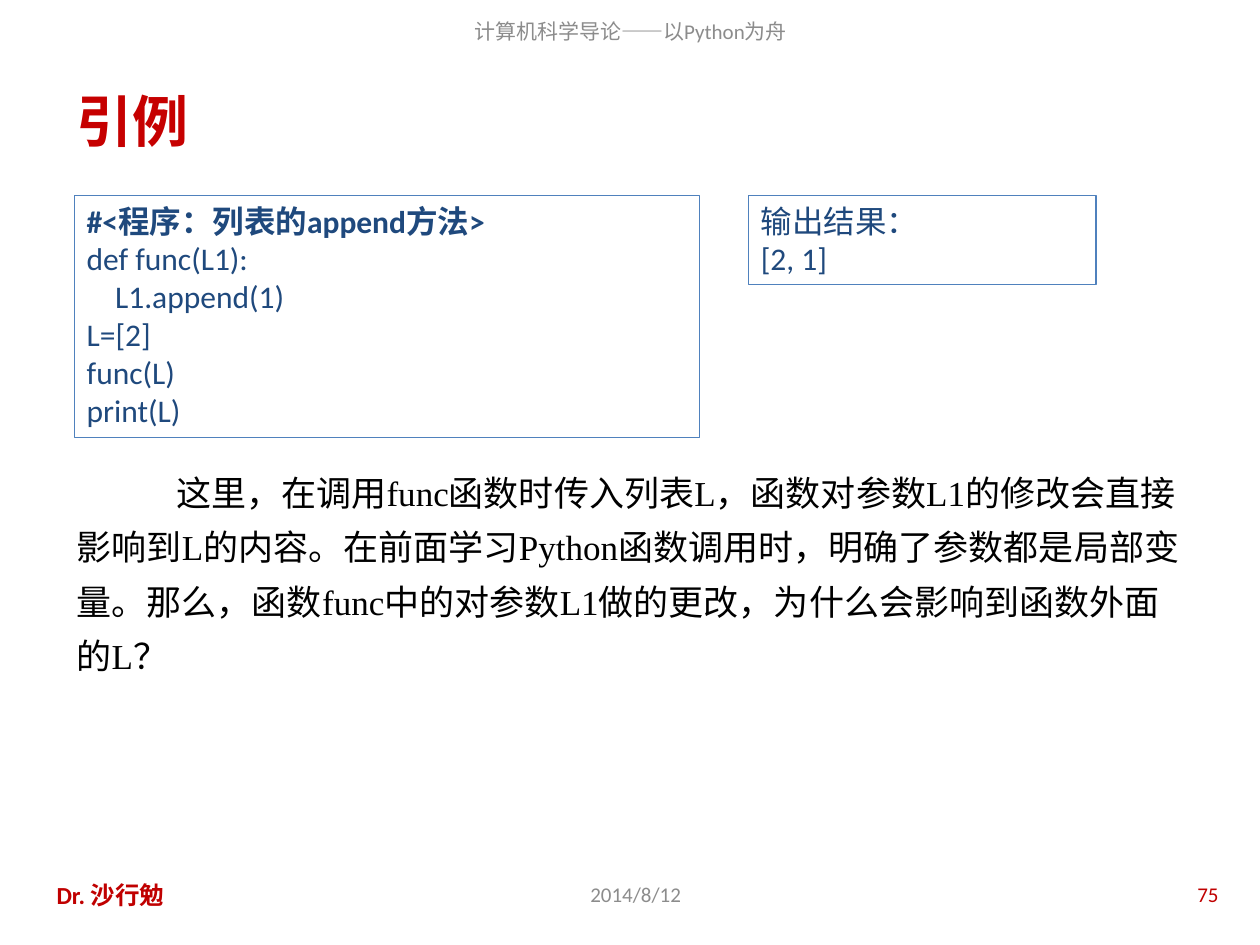
"""Build a lecture slide on the list append method in a function."""
from pptx import Presentation
from pptx.dml.color import RGBColor
from pptx.enum.shapes import MSO_SHAPE
from pptx.enum.text import MSO_ANCHOR, PP_ALIGN
from pptx.util import Inches, Pt

RECT = MSO_SHAPE.RECTANGLE
TOP, MIDDLE = MSO_ANCHOR.TOP, MSO_ANCHOR.MIDDLE
LEFT, CENTER, RIGHT = PP_ALIGN.LEFT, PP_ALIGN.CENTER, PP_ALIGN.RIGHT


def color(code):
    return RGBColor.from_string(code)


def write(shape, lines, size, code, bold=False, align=LEFT, anchor=MIDDLE, face="Calibri"):
    frame = shape.text_frame
    frame.word_wrap = True
    frame.vertical_anchor = anchor
    frame.text = "\n".join(lines)
    for para in frame.paragraphs:
        para.alignment = align
        para.font.name = face
        para.font.size = Pt(size)
        para.font.bold = bold
        para.font.color.rgb = color(code)
    return frame.paragraphs[0]


deck = Presentation()
deck.slide_width = Inches(10)
deck.slide_height = Inches(7.5)
slide = deck.slides.add_slide(deck.slide_layouts[6])

labels = [
    ("计算机科学导论——以Python为舟", 1.54, 0.05, 6.93, 0.39, 12, "8C8C8C", False, CENTER),
    ("引例", 0.51, 0.6, 9, 0.7, 32, "C60000", True, LEFT),
    ("2014/8/12", 3.35, 6.9, 3.39, 0.4, 12, "8C8C8C", False, CENTER),
    ("Dr. 沙行勉", 0.35, 6.9, 2.21, 0.4, 14, "C00000", True, LEFT),
    ("75", 7.44, 6.9, 2.33, 0.4, 12, "C00000", False, RIGHT),
]
for text, left, top, width, height, size, code, bold, align in labels:
    box = slide.shapes.add_textbox(Inches(left), Inches(top), Inches(width), Inches(height))
    write(box, [text], size, code, bold, align)

body = slide.shapes.add_textbox(Inches(0.51), Inches(3.59), Inches(9), Inches(2.83))
story = (
    "这里，在调用func函数时传入列表L，函数对参数L1的修改会直接影响到L的内容。"
    "在前面学习Python函数调用时，明确了参数都是局部变量。"
    "那么，函数func中的对参数L1做的更改，为什么会影响到函数外面的L？"
)
para = write(body, [story], 20, "000000", anchor=TOP, face="Times New Roman")
para.line_spacing = 1.3
para._p.get_or_add_pPr().set("indent", str(Inches(0.79)))

program = [
    "#<程序：列表的append方法>",
    "def func(L1):",
    "    L1.append(1)",
    "L=[2]",
    "func(L)",
    "print(L)",
]
result = ["输出结果：", "[2, 1]"]
panels = [(program, 0.59, 4.96, 1.92, True), (result, 5.94, 2.76, 0.71, False)]
for lines, left, width, height, bold in panels:
    panel = slide.shapes.add_shape(RECT, Inches(left), Inches(1.55), Inches(width), Inches(height))
    panel.shadow.inherit = False
    panel.fill.background()
    panel.line.color.rgb = color("4F81BD")
    panel.line.width = Pt(0.75)
    head = write(panel, lines, 18, "1F497D", anchor=TOP)
    head.font.bold = bold

deck.save("out.pptx")
